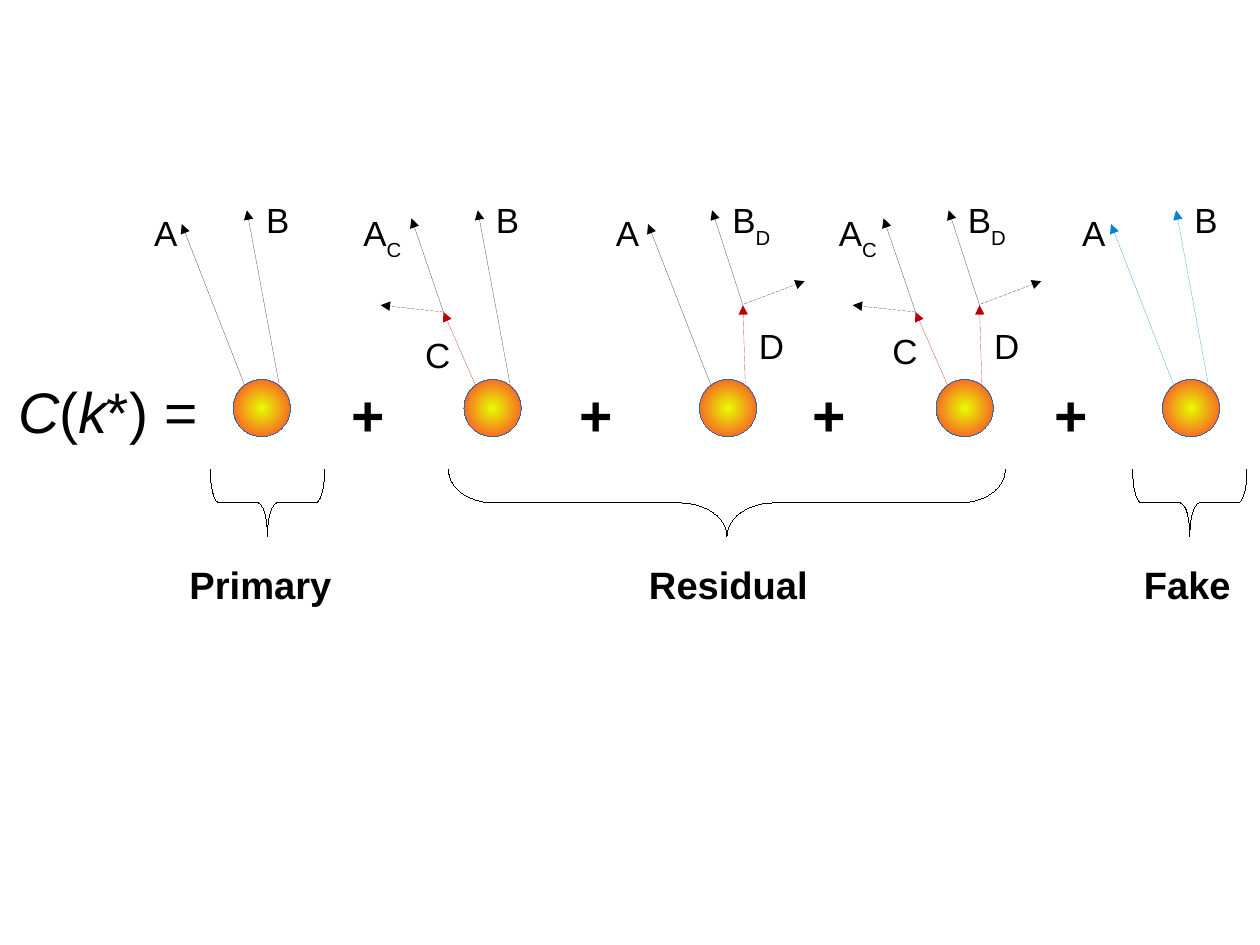
from lxml.etree import SubElement
from pptx import Presentation
from pptx.dml.color import RGBColor
from pptx.enum.dml import MSO_LINE
from pptx.enum.shapes import MSO_CONNECTOR, MSO_SHAPE
from pptx.enum.text import MSO_ANCHOR
from pptx.oxml.ns import qn
from pptx.util import Inches, Pt

CM_PER_INCH = 2.54
PAGE_WIDTH, PAGE_HEIGHT = 28 / CM_PER_INCH, 21 / CM_PER_INCH
FONT = "Arial"
BLACK, RED, BLUE = "000000", "BB000B", "0084D1"
CORE, RIM, OUTLINE = "E6FF00", "FF3333", "3465A4"
SOURCE_TOP, SOURCE_SIZE = 3.32, 0.5

# Arrow ends: x from the left of the source, y from the top of the slide
A_START, A_DECAY = (0.1, 3.37), (-0.18, 2.73)
B_START, B_DECAY = (0.4, 3.35), (0.38, 2.67)
# Start, end, dashed, own colour (None takes the colour of the term)
DIRECT_A = [(A_START, (-0.45, 1.96), False, None)]
DIRECT_B = [(B_START, (0.12, 1.84), False, None)]
DECAY_A = [
    (A_START, A_DECAY, False, RED),
    (A_DECAY, (-0.46, 1.91), False, None),
    (A_DECAY, (-0.73, 2.67), True, None),
]
DECAY_B = [
    (B_START, B_DECAY, False, RED),
    (B_DECAY, (0.11, 1.84), False, None),
    ((0.39, 2.66), (0.92, 2.46), True, None),
]

# Source left, arrow colour, arrows, labels (letter, subscript, left, top)
TERMS = [
    (2.04, BLACK, DIRECT_A + DIRECT_B,
     [("A", "", 1.25, 1.8), ("B", "", 2.23, 1.69)]),
    (4.06, BLACK, DECAY_A + DIRECT_B,
     [("A", "C", 3.08, 1.8), ("B", "", 4.24, 1.69), ("C", "", 3.62, 2.87)]),
    (6.12, BLACK, DIRECT_A + DECAY_B,
     [("A", "", 5.29, 1.8), ("B", "D", 6.31, 1.69), ("D", "", 6.54, 2.79)]),
    (8.19, BLACK, DECAY_A + DECAY_B,
     [("A", "C", 7.24, 1.8), ("B", "D", 8.37, 1.69),
      ("C", "", 7.71, 2.83), ("D", "", 8.6, 2.79)]),
    (10.17, BLUE, DIRECT_A + DIRECT_B,
     [("A", "", 9.37, 1.8), ("B", "", 10.35, 1.69)]),
]
PLUS_LEFTS = [2.98, 4.97, 7.01, 9.13]
FORMULA = [("C", {"italic": True}), ("(", {}), ("k", {"italic": True}), ("*) =", {})]

# Name, text left, text width, brace centre, brace length, brace curve
CATEGORIES = [
    ("Primary", 1.56, 1.6, 2.34, 1, 0.14),
    ("Residual", 5.58, 1.6, 6.36, 4.87, 0.7),
    ("Fake", 9.91, 1.1, 10.41, 1, 0.14),
]
BRACE_TOP, BRACE_DEPTH = 4.11, 0.58


def color(value):
    return RGBColor.from_string(value)


def set_hairline(line, value):
    """Colour a line and write its zero width, which line.width would omit."""
    line.color.rgb = color(value)
    line._get_or_add_ln().set("w", "0")


def add_text(shapes, left, top, width, height, size, spans):
    """Add one line of text from (text, font options) pairs."""
    box = shapes.add_textbox(Inches(left), Inches(top), Inches(width), Inches(height))
    frame = box.text_frame
    frame.word_wrap = True
    frame.vertical_anchor = MSO_ANCHOR.TOP
    para = frame.paragraphs[0]
    for text, options in spans:
        span = para.add_run()
        span.text = text
        font = span.font
        font.name, font.size = FONT, Pt(size)
        font.color.rgb = color(BLACK)
        font.bold = options.get("bold", False)
        font.italic = options.get("italic", False)
        if options.get("subscript"):
            span._r.get_or_add_rPr().set("baseline", "-33000")


def add_arrow(shapes, start, end, dashed, line_color):
    points = [Inches(value) for value in (*start, *end)]
    arrow = shapes.add_connector(MSO_CONNECTOR.STRAIGHT, *points)
    set_hairline(arrow.line, line_color)
    if dashed:
        arrow.line.dash_style = MSO_LINE.SQUARE_DOT
    SubElement(arrow.line._get_or_add_ln(), qn("a:tailEnd"), type="triangle")
    SubElement(arrow._element.spPr, qn("a:effectLst"))


def add_source(shapes, left):
    """Add the glowing ball that emits the particles."""
    ball = shapes.add_shape(MSO_SHAPE.OVAL, Inches(left), Inches(SOURCE_TOP),
                            Inches(SOURCE_SIZE), Inches(SOURCE_SIZE))
    ball.shadow.inherit = False
    set_hairline(ball.line, OUTLINE)
    ball.fill.gradient()
    for stop, position, value in zip(ball.fill.gradient_stops, (0, 1), (CORE, RIM)):
        stop.position = position
        stop.color.rgb = color(value)
    gradient = ball._element.spPr.find(qn("a:gradFill"))
    gradient.remove(gradient.find(qn("a:lin")))
    circle = SubElement(gradient, qn("a:path"), path="circle")
    SubElement(circle, qn("a:fillToRect"), l="50000", t="50000", r="50000", b="50000")


def add_term(page, left, line_color, arrows, labels):
    shapes = page.shapes.add_group_shape().shapes
    add_source(shapes, left)
    for start, end, dashed, own_color in arrows:
        add_arrow(shapes, (left + start[0], start[1]), (left + end[0], end[1]),
                  dashed, own_color or line_color)
    for letter, subscript, x, y in labels:
        spans = [(letter, {})]
        if subscript:
            spans.append((subscript, {"subscript": True}))
        add_text(shapes, x, y, 0.65 if subscript else 0.45, 0.48, 22, spans)


def add_brace(page, centre, length, curve):
    """Add a brace that opens upwards: a left brace turned by 270 degrees."""
    middle = BRACE_TOP + BRACE_DEPTH / 2
    brace = page.shapes.add_shape(
        MSO_SHAPE.LEFT_BRACE,
        Inches(centre - BRACE_DEPTH / 2), Inches(middle - length / 2),
        Inches(BRACE_DEPTH), Inches(length))
    brace.rotation = 270
    brace.adjustments[0] = curve
    brace.shadow.inherit = False
    brace.fill.background()
    set_hairline(brace.line, BLACK)


def main():
    deck = Presentation()
    deck.slide_width, deck.slide_height = Inches(PAGE_WIDTH), Inches(PAGE_HEIGHT)
    page = deck.slides.add_slide(deck.slide_layouts[6])
    for term in TERMS:
        add_term(page, *term)
    for left in PLUS_LEFTS:
        add_text(page.shapes, left, 3.27, 0.55, 0.74, 36, [("+", {"bold": True})])
    add_text(page.shapes, 0.06, 3.24, 1.9, 0.72, 36, FORMULA)
    for name, left, width, centre, length, curve in CATEGORIES:
        add_brace(page, centre, length, curve)
        add_text(page.shapes, left, 4.86, width, 0.6, 24, [(name, {"bold": True})])
    deck.save("out.pptx")


if __name__ == "__main__":
    main()
